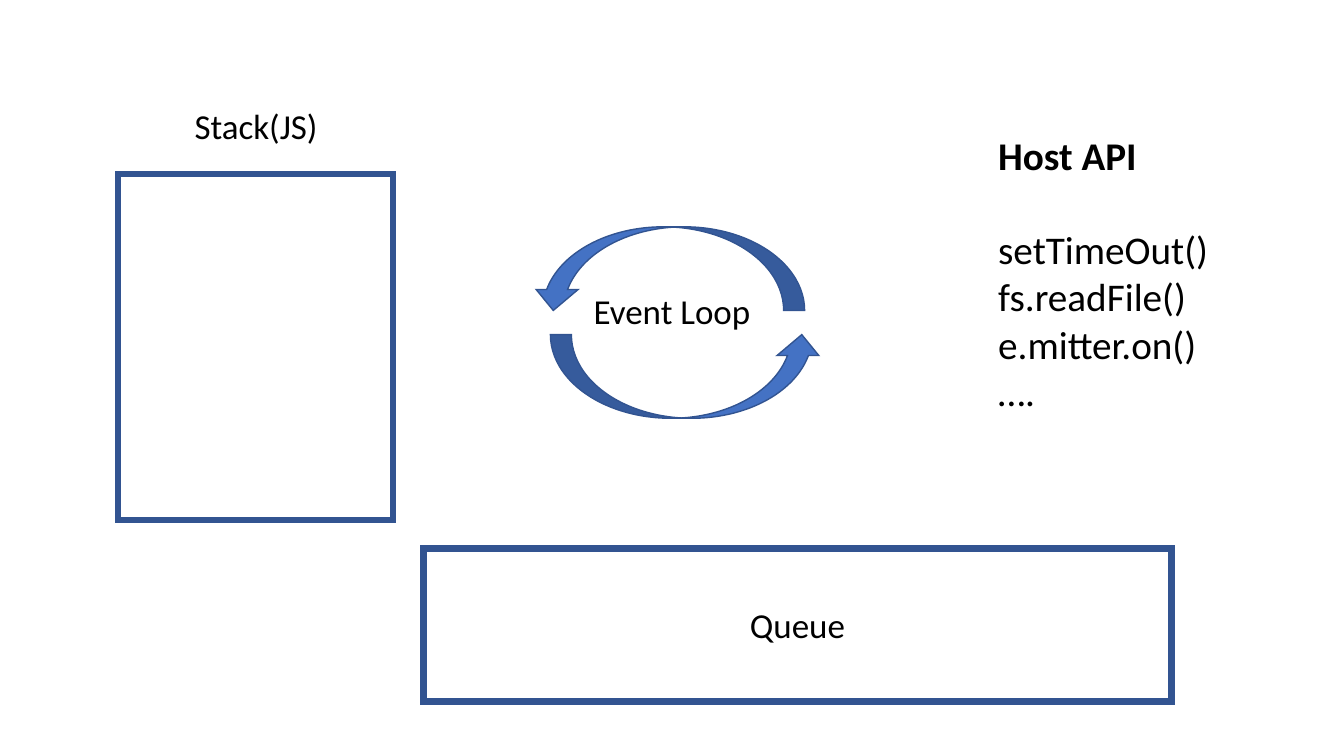
from lxml import etree
from pptx import Presentation
from pptx.dml.color import RGBColor
from pptx.enum import shapes, text
from pptx.oxml import ns
from pptx.util import Inches, Pt

FONT = "Calibri"
COLORS = {"white": "FFFFFF", "black": "000000", "blue": "4472C4", "navy": "325491"}

# Places are left, top, width, height in inches
FRAMES = {
    "Stack": (1.17, 1.73, 2.73, 3.43),
    "Queue": (4.2, 5.44, 7.42, 1.52),
}
LOOP_ARROWS = [  # place, rotation
    ((5.46, 3.32, 2.7, 0.83), 0),
    ((5.28, 2.25, 2.7, 0.83), 180),
]
LABELS = [
    ("Event Loop", (5.78, 2.82, 1.77, 0.52)),
    ("Stack(JS)", (1.77, 0.99, 1.54, 0.52)),
    ("Queue", (7.33, 5.94, 1.16, 0.52)),
]
API_PLACE = (9.8, 1.25, 2.31, 2.93)
API_HEADING = "Host API"
API_CALLS = ["setTimeOut()", "fs.readFile()", "e.mitter.on()", "…."]
LABEL_SIZE, API_SIZE, API_GAP = 25, 28, 34


def color(name):
    return RGBColor.from_string(COLORS[name])


def add_outlined(slide, kind, place, fill, line_width):
    """Add a filled shape with a navy outline and sharp corners."""
    shape = slide.shapes.add_shape(kind, *map(Inches, place))
    shape.shadow.inherit = False
    shape.fill.solid()
    shape.fill.fore_color.rgb = color(fill)
    shape.line.color.rgb = color("navy")
    shape.line.width = Pt(line_width)
    outline = shape.element.spPr.find(ns.qn("a:ln"))
    etree.SubElement(outline, ns.qn("a:miter"), lim="800000")
    return shape


def format_runs(paragraph, size, bold=False):
    for run in paragraph.runs:
        run.font.name = FONT
        run.font.size = Pt(size)
        run.font.bold = bold
        run.font.color.rgb = color("black")


def add_label(slide, wording, place):
    frame = slide.shapes.add_textbox(*map(Inches, place)).text_frame
    frame.word_wrap = False
    frame.text = wording
    frame.paragraphs[0].alignment = text.PP_ALIGN.CENTER
    format_runs(frame.paragraphs[0], LABEL_SIZE)


def remove_bullet(paragraph):
    properties = paragraph._p.get_or_add_pPr()
    properties.set("marL", "0")
    properties.set("indent", "0")
    etree.SubElement(properties, ns.qn("a:buNone"))


def fill_api_list(placeholder):
    placeholder.left, placeholder.top, placeholder.width, placeholder.height = map(Inches, API_PLACE)
    frame = placeholder.text_frame
    frame.word_wrap = False
    frame.auto_size = text.MSO_AUTO_SIZE.NONE
    frame.vertical_anchor = text.MSO_ANCHOR.TOP
    frame.text = "\n".join([API_HEADING] + API_CALLS)
    for index, paragraph in enumerate(frame.paragraphs):
        paragraph.alignment = text.PP_ALIGN.LEFT
        paragraph.space_before = Pt(API_GAP if index == 1 else 0)
        remove_bullet(paragraph)
        format_runs(paragraph, API_SIZE, bold=index == 0)


def main():
    presentation = Presentation()
    presentation.slide_width, presentation.slide_height = Inches(13.33), Inches(7.5)
    slide = presentation.slides.add_slide(presentation.slide_layouts[1])
    title = slide.shapes.title.element
    title.getparent().remove(title)

    for place in FRAMES.values():
        add_outlined(slide, shapes.MSO_SHAPE.RECTANGLE, place, "white", 4.5)
    for place, rotation in LOOP_ARROWS:
        arrow = add_outlined(slide, shapes.MSO_SHAPE.CURVED_UP_ARROW, place, "blue", 1)
        arrow.rotation = rotation
    for wording, place in LABELS:
        add_label(slide, wording, place)
    fill_api_list(slide.placeholders[1])

    presentation.save("out.pptx")


if __name__ == "__main__":
    main()
